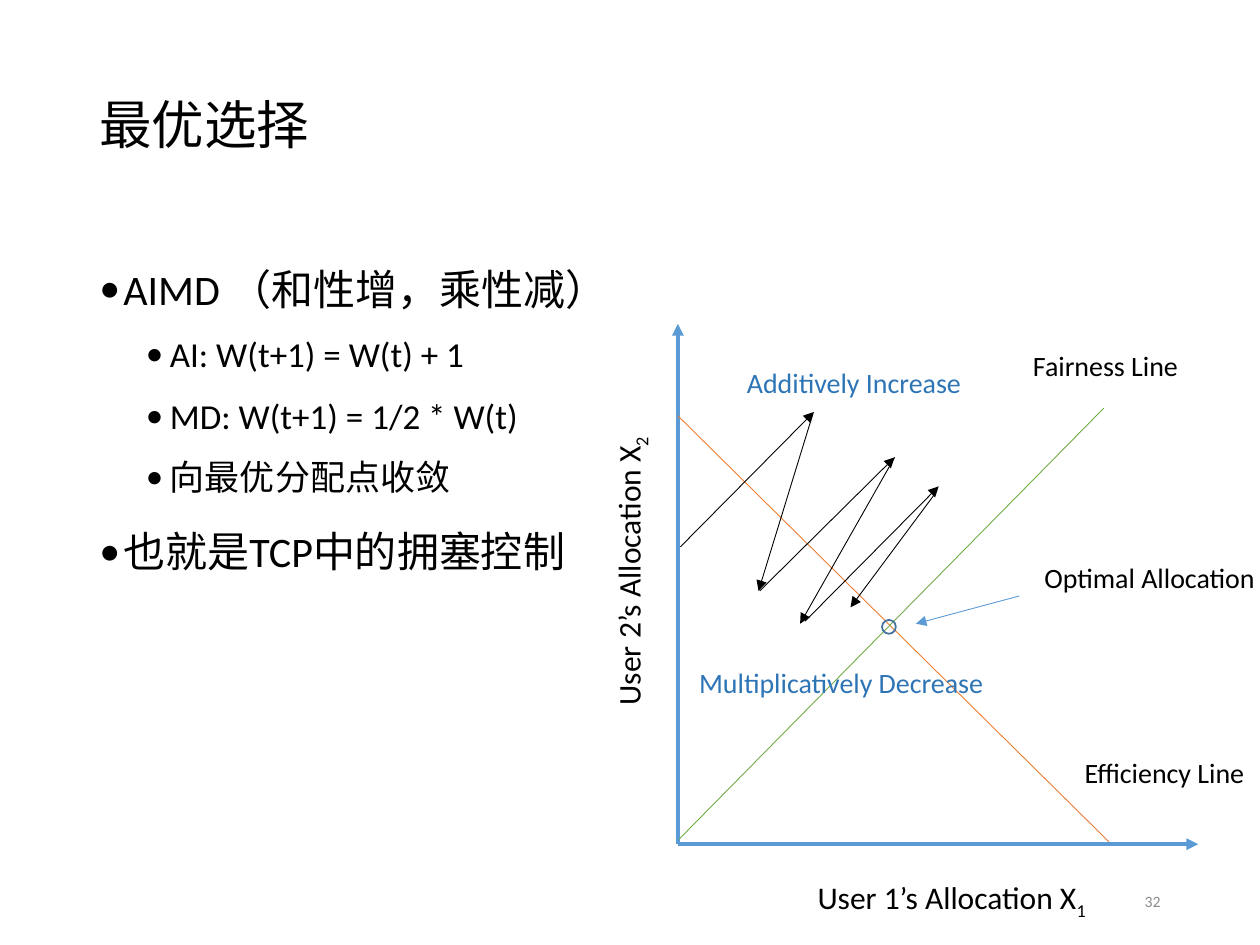
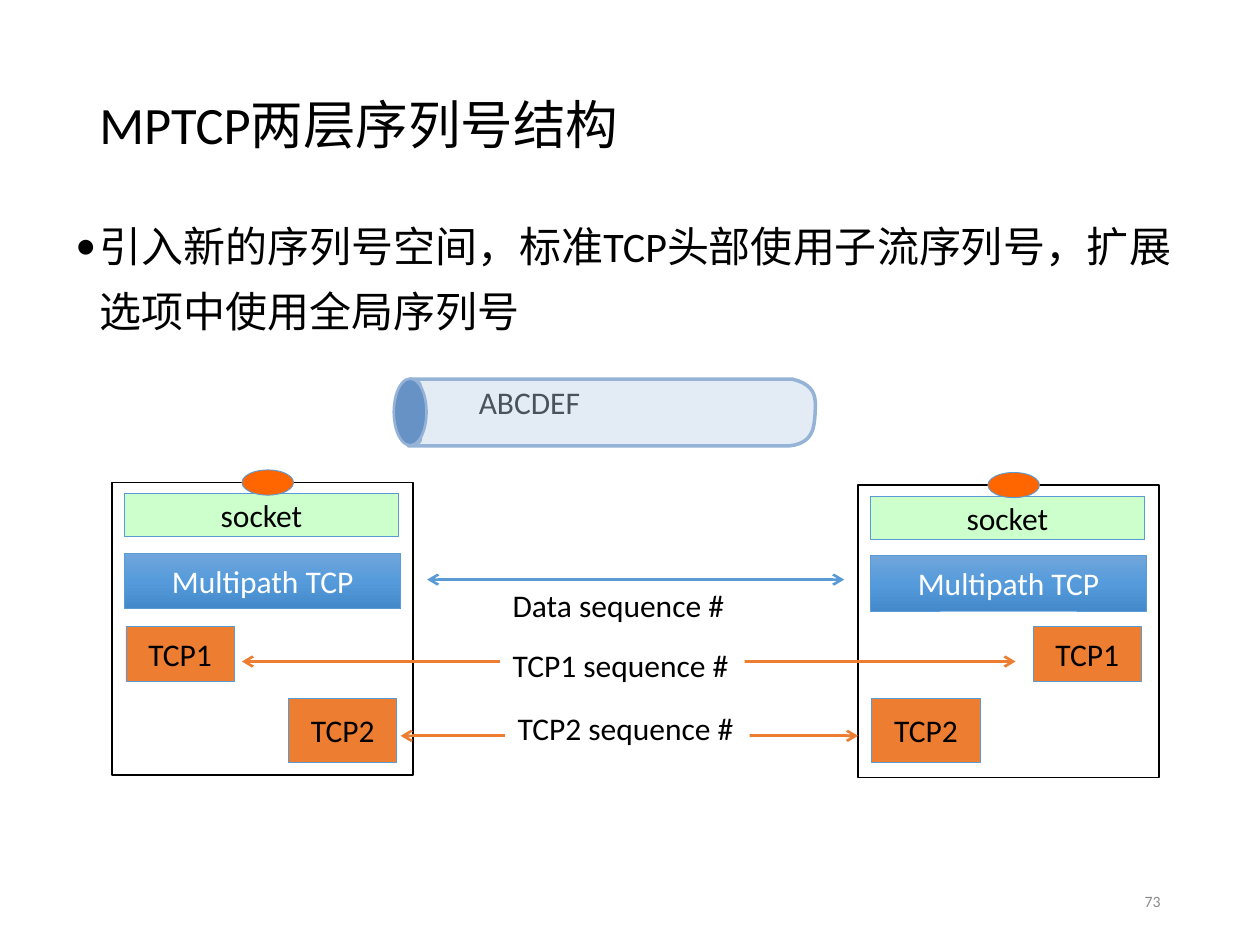
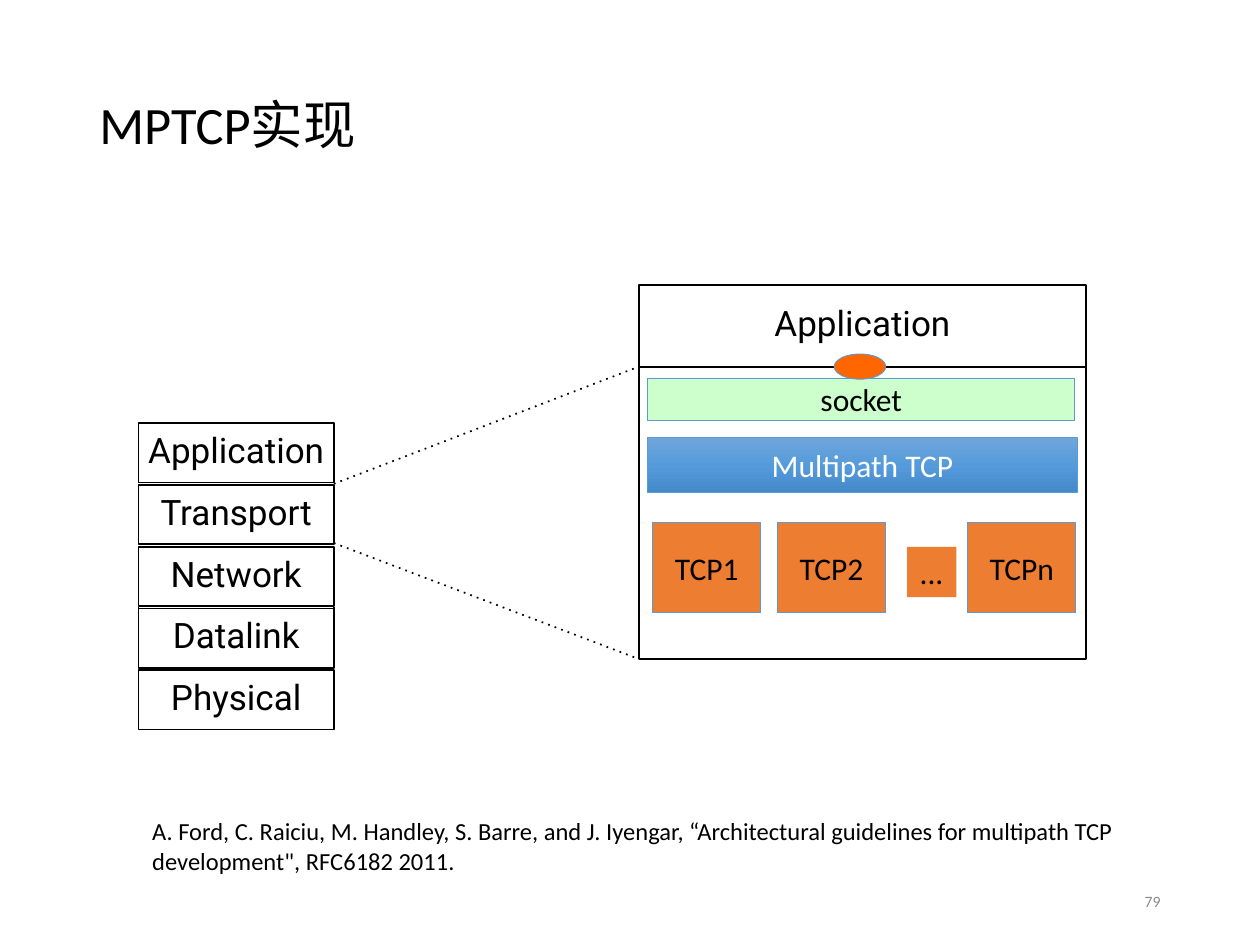
from copy import deepcopy

from pptx import Presentation, util as u
from pptx.dml.color import RGBColor as Rgb
from pptx.enum import shapes, text as t
from pptx.oxml.ns import qn
from pptx.oxml.xmlchemy import OxmlElement as Tag

BLACK = Rgb(0, 0, 0)
WHITE = Rgb(255, 255, 255)
GREY = Rgb(0x8C, 0x8C, 0x8C)
BLUE = Rgb(0x5B, 0x9B, 0xD5)
DEEP = Rgb(0x2E, 0x75, 0xB6)
RING = Rgb(0x43, 0x73, 0x9E)
ORANGE = Rgb(0xED, 0x7D, 0x31)
GREEN = Rgb(0x70, 0xAD, 0x47)
MINT = Rgb(0xCC, 0xFF, 0xCC)
FLAME = Rgb(0xFF, 0x66, 0)
PIPE = Rgb(0xB9, 0xCD, 0xE5)
RIM = Rgb(0x95, 0xB3, 0xD7)
CAP = Rgb(0x67, 0x92, 0xC5)
FADE = (Rgb(0x71, 0xA6, 0xDB), Rgb(0x55, 0x9B, 0xDB), Rgb(0x44, 0x8A, 0xCA))

COLS, ROWS = 100, 75
CELL = u.Inches(0.1)
SHAPE = shapes.MSO_SHAPE
LEFT, MID, RIGHT = t.PP_ALIGN.LEFT, t.PP_ALIGN.CENTER, t.PP_ALIGN.RIGHT
TOP, HALF = t.MSO_ANCHOR.TOP, t.MSO_ANCHOR.MIDDLE


def cells(*nums):
    return [round(n * CELL) for n in nums]


def move(box, col, row, *size):
    return (box[0] + col, box[1] + row, *size)


def write(para, words, size=18, color=BLACK, font="Calibri", align=LEFT,
          lead=None, sub=None):
    para.alignment = align
    if lead:
        para.line_spacing = lead
    for part in filter(None, (words, sub)):
        run = para.add_run()
        run.text = part
        run.font.size = u.Pt(size)
        run.font.name = font
        run.font.color.rgb = color
        if part is sub:
            run._r.get_or_add_rPr().set("baseline", "-25000")


def label(slide, box, words, wrap=False, anchor=TOP, fill=None, turn=0, **form):
    item = slide.shapes.add_textbox(*cells(*box))
    item.rotation = turn
    if fill is not None:
        item.fill.solid()
        item.fill.fore_color.rgb = fill
    body = item.text_frame
    body.word_wrap = wrap
    body.vertical_anchor = anchor
    write(body.paragraphs[0], words, **form)
    return body


def paint(item, fill=None, line=None, width=0.5):
    item.shadow.inherit = False
    if fill is None:
        item.fill.background()
    elif fill is FADE:
        item.fill.gradient()
        item.fill.gradient_angle = 270
        first = item._element.spPr.find(qn("a:gradFill")).find(qn("a:gsLst"))[0]
        first.addnext(deepcopy(first))
        for i, stop in enumerate(item.fill.gradient_stops):
            stop.color.rgb = FADE[i]
            stop.position = i / 2
    else:
        item.fill.solid()
        item.fill.fore_color.rgb = fill
    if line is None:
        item.line.fill.background()
    else:
        item.line.color.rgb = line
        item.line.width = u.Pt(width)


def block(slide, box, words="", fill=None, line=BLUE, width=0.5,
          kind=SHAPE.RECTANGLE, **form):
    item = slide.shapes.add_shape(kind, *cells(*box))
    paint(item, fill, line, width)
    if words:
        item.text_frame.word_wrap = True
        item.text_frame.vertical_anchor = HALF
        write(item.text_frame.paragraphs[0], words, align=MID, **form)
    return item


def frame(slide, box, words=""):
    item = block(slide, box, words, line=BLACK, width=1,
                 kind=SHAPE.ROUNDED_RECTANGLE, size=20, font="Roboto", lead=0.84)
    item.adjustments[0] = 0
    body = item.text_frame
    body.margin_left = body.margin_right = body.margin_top = body.margin_bottom = 0


def link(slide, start, end, color=BLACK, width=0.5, head=None, tail=None, dash=None):
    item = slide.shapes.add_connector(
        shapes.MSO_CONNECTOR.STRAIGHT, *cells(*start, *end))
    item.line.color.rgb = color
    item.line.width = u.Pt(width)
    props = item._element.spPr
    for name, key, kind in (("a:prstDash", "val", dash),
                            ("a:headEnd", "type", head), ("a:tailEnd", "type", tail)):
        if kind:
            mark = Tag(name)
            mark.set(key, kind)
            props.find(qn("a:ln")).append(mark)
    props.append(Tag("a:effectLst"))


def bullets(slide, box, items):
    body = slide.shapes.add_textbox(*cells(*box)).text_frame
    body.word_wrap = True
    for i, (level, words) in enumerate(items):
        para = body.add_paragraph() if i else body.paragraphs[0]
        para.level = level
        props = para._p.get_or_add_pPr()
        props.set("marL", str(u.Inches(0.56 if level else 0.19)))
        props.set("indent", str(-u.Inches(0.19)))
        for name, key, value in (("a:buFont", "typeface", "Calibri"),
                                 ("a:buChar", "char", "•")):
            dot = Tag(name)
            dot.set(key, value)
            props.append(dot)
        if i:
            para.space_before = u.Pt(3.8 if level else 7.5)
        write(para, words, size=20 if level else 24, lead=1.3)


def page(deck, title, number):
    slide = deck.slides.add_slide(deck.slide_layouts[6])
    label(slide, (6.9, 4, 86.2, 12.3), title, wrap=True, anchor=HALF,
          size=30, lead=0.9)
    label(slide, (70.6, 69.5, 22.5, 4), str(number), wrap=True, anchor=HALF,
          size=9, color=GREY, align=RIGHT)
    return slide


def graph(slide, box):
    def spot(col, row):
        return move(box, col, row)

    def arrow(start, end, **form):
        link(slide, spot(*start), spot(*end), **form)

    base = (0, 41.3)
    for tip in ((41.3, 41.3), (0, 0)):
        arrow(base, tip, color=BLUE, width=2.25, tail="triangle")
    label(slide, move(box, 10.1, 43.5, 24.7, 4), "User 1’s Allocation X", sub="1")
    label(slide, move(box, -16.5, 16.7, 25.1, 4), "User 2’s Allocation X",
          sub="2", turn=270)
    arrow((0, 7.3), (34.2, 41.1), color=ORANGE)
    arrow((0.1, 40.9), (33.8, 6.7), color=GREEN)
    block(slide, move(box, 16.2, 23.5, 1.1, 1.1), line=RING, width=1, kind=SHAPE.OVAL)
    arrow((27.1, 21.6), (18.9, 23.8), color=BLUE, tail="triangle")
    for start, end in (((0.2, 17.7), (10.8, 7)), ((6.5, 21.2), (17.2, 10.6)),
                       ((10.7, 7.2), (6.4, 21.2)), ((17.2, 10.6), (9.7, 23.8)),
                       ((10.1, 23.6), (20.7, 12.9)), ((20.4, 13.5), (13.7, 22.5))):
        arrow(start, end, tail="triangle")
    for col, row, wide, words, color in (
            (27.2, 1.5, 13.7, "Fairness Line", BLACK),
            (31.3, 33.8, 14.9, "Efficiency Line", BLACK),
            (28.1, 18.3, 18.9, "Optimal Allocation", BLACK),
            (4.5, 2.8, 19.2, "Additively Increase", DEEP),
            (0.7, 26.6, 24.9, "Multiplicatively Decrease", DEEP)):
        label(slide, move(box, col, row, wide, 3.7), words, size=16, color=color)


def stack(slide, box, edge, port):
    wide = box[2] - 2 * edge
    frame(slide, box)
    block(slide, move(box, edge, 5.6, wide, 4.4), "Multipath TCP", FADE, color=WHITE)
    block(slide, move(box, edge, 0.9, wide - 0.2, 3.4), "socket", MINT)
    block(slide, move(box, port, -1, 4.1, 2), fill=FLAME, kind=SHAPE.OVAL)


def curve(a, b, c, d, steps=12):
    for i in range(1, steps + 1):
        s = i / steps
        r = 1 - s
        yield tuple(r**3 * p + 3 * r * r * s * q + 3 * r * s * s * v + s**3 * w
                    for p, q, v, w in zip(a, b, c, d))


def pipe(slide, box):
    body = label(slide, move(box, 5.2, 0.3, 9.7, 3), "ABCDEF")
    body.margin_top = 0
    body.margin_left = u.Inches(0.04)
    ends = (((30.2, 5.3), (32.3, 5.1), (32.2, 3.6), (32.3, 2.7)),
            ((32.3, 2.7), (32.3, 1.8), (32.6, 0.5), (30.5, 0)),
            ((0.1, 0), (2.1, 0.3), (0, 1.7), (0, 2.7)),
            ((0, 2.7), (0, 3.7), (2.2, 5), (0, 5.3)))
    spots = [spot for end in ends for spot in (end[0], *curve(*end))]
    draw = slide.shapes.build_freeform(*cells(*move(box, 0, 5.3)), scale=1)
    draw.add_line_segments([cells(*move(box, *spot)) for spot in spots])
    tube = draw.convert_to_shape()
    paint(tube, PIPE, RIM, 2)
    alpha = Tag("a:alpha")
    alpha.set("val", "40000")
    tube._element.spPr.find(qn("a:solidFill"))[0].append(alpha)
    cap = block(slide, move(box, -2.5, 1.3, 5.3, 2.6), fill=CAP, line=RIM,
                width=1.5, kind=SHAPE.OVAL)
    cap.rotation = 90


def peers(slide, box):
    for col, row in ((0, 0), (59.2, 0.2)):
        stack(slide, move(box, col, row, 23.9, 23.2), 1, 10.3)
    for words, row, high, spots in (("TCP1", 11.4, 4.4, (1.1, 73.1)),
                                    ("TCP2", 17.1, 5.1, (14, 60.3))):
        for col in spots:
            block(slide, move(box, col, row, 8.6, high), words, ORANGE)
    for words, line, start, end, color, col, row, fill in (
            ("Data", 7.7, 25, 58.1, BLUE, 30.8, 7.7, None),
            ("TCP1", 14.2, 10.3, 71.7, ORANGE, 30.8, 12.5, WHITE),
            ("TCP2", 20.1, 22.9, 59.2, ORANGE, 31.2, 17.5, WHITE)):
        link(slide, move(box, start, line), move(box, end, line), color, 1.5,
             head="arrow", tail="arrow")
        label(slide, move(box, col, row, 19.4, 4), words + " sequence #", fill=fill)


def layers(slide, box):
    names = ("Application", "Transport", "Network", "Datalink", "Physical")
    for i, name in enumerate(names):
        frame(slide, move(box, 0, 4.9 * i, 15.5, 4.7), name)
    for col in (0, 15.5):
        link(slide, move(box, col, 17.5), move(box, col, 11.7), width=1,
             dash="sysDashDotDot")


def detail(slide, box):
    wide = box[2]
    frame(slide, move(box, 0, 0, wide, 6.5), "Application")
    stack(slide, move(box, 0, 6.5, wide, 23.2), 0.7, 15.5)
    for words, col in (("TCP1", 1.1), ("TCP2", 11), ("TCPn", 26.1)):
        block(slide, move(box, col, 18.9, 8.6, 7.1), words, ORANGE)
    label(slide, move(box, 21.3, 20.8, 3.9, 4), "...", fill=ORANGE)


def main():
    deck = Presentation()
    deck.slide_width, deck.slide_height = cells(COLS, ROWS)

    best = page(deck, "最优选择", 32)
    bullets(best, (6.9, 19.2, 86.2, 48.4), (
        (0, "AIMD （和性增，乘性减）"),
        (1, "AI: W(t+1) = W(t) + 1"),
        (1, "MD: W(t+1) = 1/2 * W(t)"),
        (1, "向最优分配点收敛"),
        (0, "也就是TCP中的拥塞控制")))
    graph(best, (53.8, 25.7))

    order = page(deck, "MPTCP两层序列号结构", 73)
    bullets(order, (5, 15.8, 90, 12.3), (
        (0, "引入新的序列号空间，标准TCP头部使用子流序列号，扩展选项中使用全局序列号"),))
    pipe(order, (32.4, 30.1))
    peers(order, (8.9, 38.3))

    build = page(deck, "MPTCP实现", 79)
    layers(build, (11, 33.6))
    detail(build, (50.7, 22.6, 35.5))
    for start, end in ((38.4, 29.1), (43.1, 52.3)):
        link(build, (26.5, start), (50.7, end), width=1, dash="dot")
    label(build, (11.1, 64.3, 83.9, 5.7),
          "A. Ford, C. Raiciu, M. Handley, S. Barre, and J. Iyengar, “Architectural "
          "guidelines for multipath TCP development\", RFC6182 2011.",
          wrap=True, size=14)

    deck.save("out.pptx")


if __name__ == "__main__":
    main()
